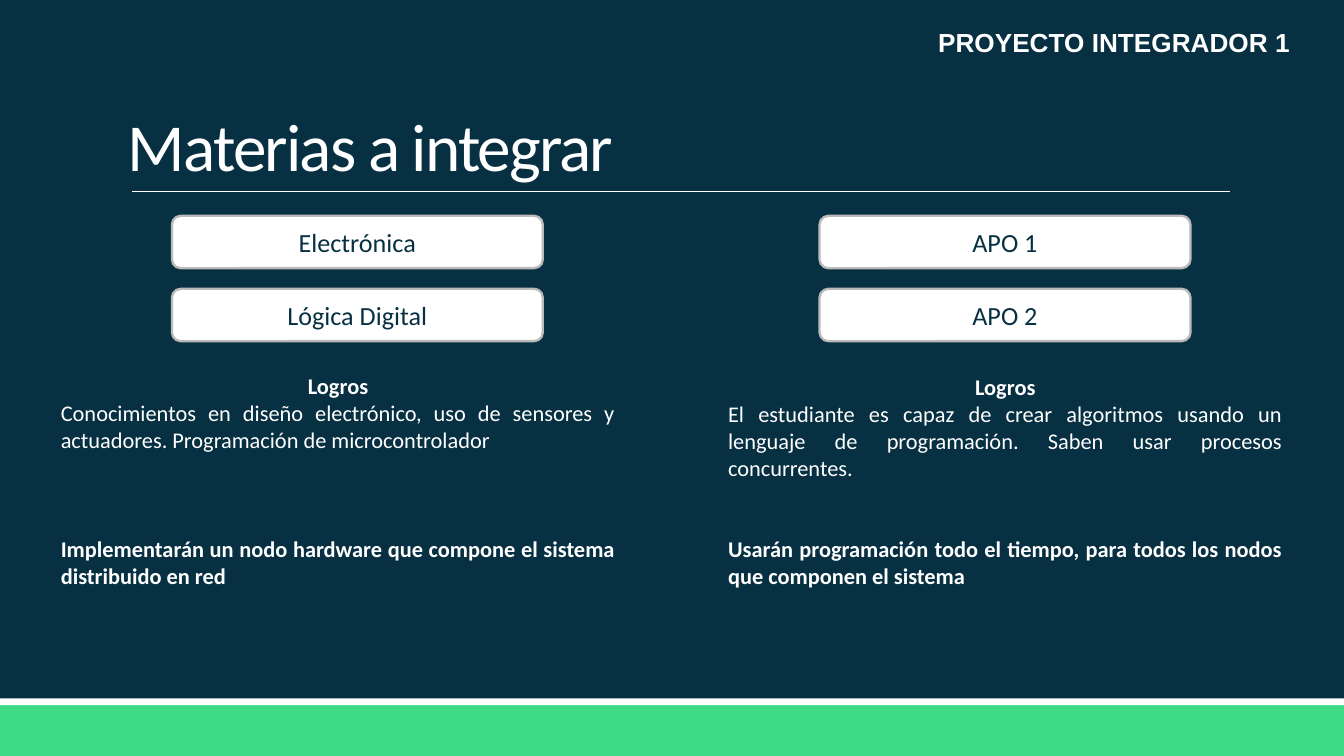
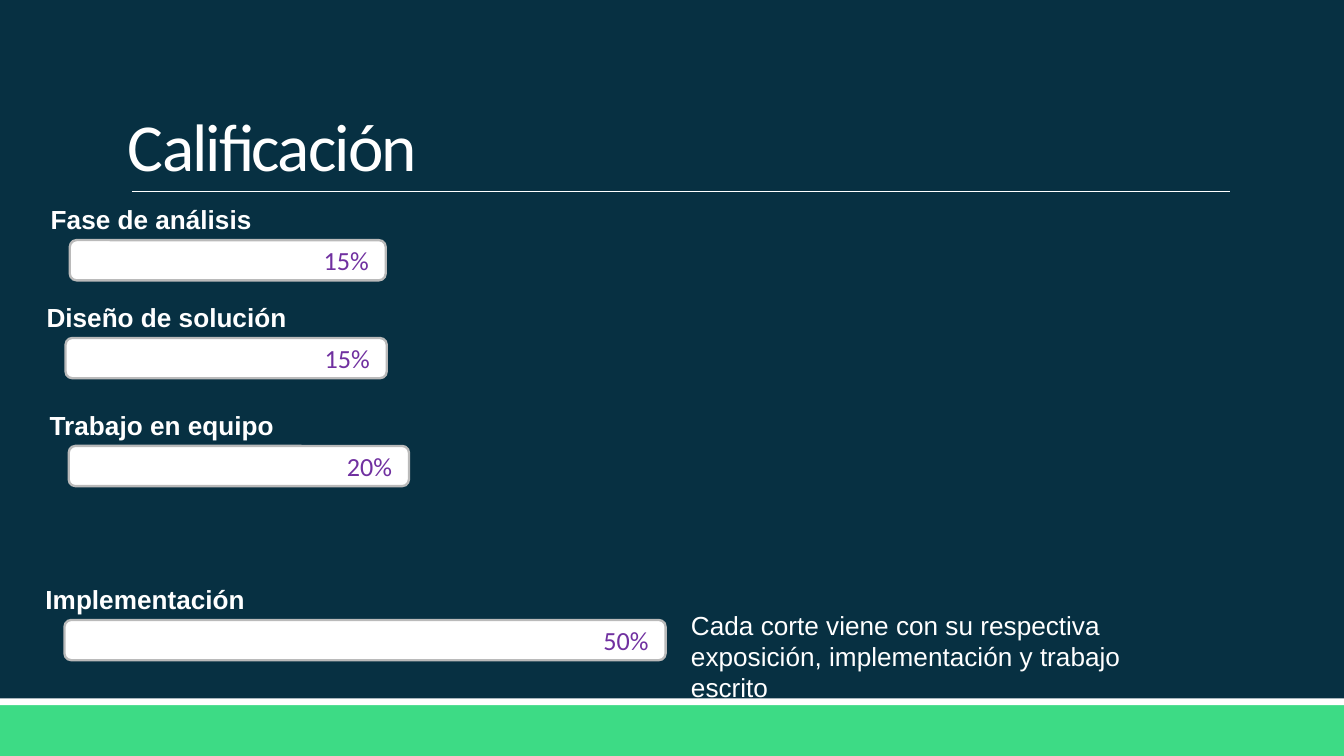
from lxml import etree
from pptx import Presentation
from pptx.dml.color import RGBColor
from pptx.enum.shapes import MSO_CONNECTOR, MSO_SHAPE
from pptx.enum.text import MSO_ANCHOR, PP_ALIGN
from pptx.oxml.ns import qn
from pptx.util import Cm, Pt

NAVY = RGBColor(0x07, 0x30, 0x42)
GREEN = RGBColor(0x3D, 0xDB, 0x85)
WHITE = RGBColor(0xFF, 0xFF, 0xFF)
GREY = RGBColor(0xBA, 0xBA, 0xBA)
PURPLE = RGBColor(0x70, 0x30, 0xA0)

RECTANGLE, ROUNDED = MSO_SHAPE.RECTANGLE, MSO_SHAPE.ROUNDED_RECTANGLE
STRAIGHT = MSO_CONNECTOR.STRAIGHT
LEFT, CENTER, RIGHT = PP_ALIGN.LEFT, PP_ALIGN.CENTER, PP_ALIGN.RIGHT
JUSTIFY = PP_ALIGN.JUSTIFY
TOP, MIDDLE, BOTTOM = MSO_ANCHOR.TOP, MSO_ANCHOR.MIDDLE, MSO_ANCHOR.BOTTOM

PAGE_WIDTH, PAGE_HEIGHT = 25.4, 14.29
INSET = 0.13
BODY_LINE = 14.6  # height in points of one 12 pt line


def write(box, text, size=14, font="Calibri", color=WHITE, bold=False,
          align=LEFT, before=0, line_spacing=None, tracking=None):
    """Fill the first paragraph of the box, or add another after it."""
    frame = box.text_frame
    para = frame.add_paragraph() if frame.text else frame.paragraphs[0]
    para.alignment = align
    if before:
        para.space_before = Pt(before)
    if line_spacing:
        para.line_spacing = line_spacing
    span = para.add_run()
    span.text = text
    span.font.size = Pt(size)
    span.font.name = font
    span.font.bold = bold
    span.font.color.rgb = color
    if tracking:
        span._r.get_or_add_rPr().set("spc", str(round(tracking * 100)))


def set_frame(box, anchor, side=INSET, edge=INSET):
    frame = box.text_frame
    frame.word_wrap = True
    frame.vertical_anchor = anchor
    frame.margin_left = frame.margin_right = Cm(side)
    frame.margin_top = frame.margin_bottom = Cm(edge)


def add_box(page, left, top, width, height, anchor=TOP):
    box = page.shapes.add_textbox(Cm(left), Cm(top), Cm(width), Cm(height))
    set_frame(box, anchor)
    return box


def add_panel(page, kind, left, top, width, height, fill):
    panel = page.shapes.add_shape(kind, Cm(left), Cm(top), Cm(width), Cm(height))
    panel.shadow.inherit = False
    panel.fill.solid()
    panel.fill.fore_color.rgb = fill
    panel.line.fill.background()
    return panel


def add_pill(page, left, top, width, height, text, **style):
    pill = add_panel(page, ROUNDED, left, top, width, height, WHITE)
    pill.adjustments[0] = 0.167
    pill.line.color.rgb = GREY
    pill.line.width = Pt(1.25)
    set_frame(pill, MIDDLE, side=0.28, edge=0)
    write(pill, text, **style)


def add_rule(page, left, right, top):
    rule = page.shapes.add_connector(STRAIGHT, Cm(left), Cm(top), Cm(right), Cm(top))
    rule.line.color.rgb = WHITE
    rule.line.width = Pt(0.5)
    etree.SubElement(rule._element.spPr, qn("a:effectLst"))


def add_page(deck, title):
    """Add a slide with the shared background, bands, title and rule."""
    page = deck.slides.add_slide(deck.slide_layouts[6])
    page.background.fill.solid()
    page.background.fill.fore_color.rgb = NAVY
    add_panel(page, RECTANGLE, 0, 13.33, PAGE_WIDTH, PAGE_HEIGHT - 13.33, GREEN)
    add_panel(page, RECTANGLE, 0, 13.2, PAGE_WIDTH, 0.13, WHITE)
    add_rule(page, 2.49, 23.24, 3.62)
    box = add_box(page, 2.29, 0.61, 20.96, 3.02, anchor=BOTTOM)
    write(box, title, size=36, line_spacing=0.85, tracking=-1)
    return page


def add_subjects(page, left, top, names):
    for row, name in enumerate(names):
        add_pill(page, left, top + row * 1.38, 7.01, 0.99, name,
                 color=NAVY, align=CENTER)


def add_goals(page, left, top, height, learned, task, gap_lines):
    box = add_box(page, left, top, 10.74, height)
    write(box, "Logros", size=12, bold=True, align=CENTER)
    write(box, learned, size=12, align=JUSTIFY)
    write(box, task, size=12, bold=True, align=JUSTIFY,
          before=gap_lines * BODY_LINE)


def add_score(page, left, top, width, label, share):
    """Place a bar with its share at its right end and its label above."""
    add_pill(page, left, top, width, 0.76, share, color=PURPLE, align=RIGHT)
    box = add_box(page, left - 0.49, top - 0.83, 6.17, 0.81)
    write(box, label, font="Arial", bold=True)


def add_subjects_page(deck):
    page = add_page(deck, "Materias a integrar")
    add_subjects(page, 3.25, 4.08, ("Electrónica", "Lógica Digital"))
    add_subjects(page, 15.49, 4.08, ("APO 1", "APO 2"))
    header = add_box(page, 9.27, 0.36, 15.24, 0.81)
    write(header, "PROYECTO INTEGRADOR 1", font="Arial", bold=True, align=RIGHT)
    add_goals(page, 1.02, 6.91, 4.98,
              "Conocimientos en diseño electrónico, uso de sensores y "
              "actuadores. Programación de microcontrolador",
              "Implementarán un nodo hardware que compone el sistema "
              "distribuido en red", gap_lines=3)
    add_goals(page, 13.63, 6.93, 4.39,
              "El estudiante es capaz de crear algoritmos usando un lenguaje "
              "de programación. Saben usar procesos concurrentes.",
              "Usarán programación todo el tiempo, para todos los nodos que "
              "componen el sistema", gap_lines=2)


def add_grading_page(deck):
    page = add_page(deck, "Calificación")
    scores = (
        (1.32, 4.54, 5.97, "Fase de análisis", "15%"),
        (1.24, 6.39, 6.07, "Diseño de solución", "15%"),
        (1.3, 8.43, 6.43, "Trabajo en equipo", "20%"),
        (1.22, 11.72, 11.36, "Implementación", "50%"),
    )
    for score in scores:
        add_score(page, *score)
    note = add_box(page, 12.93, 11.38, 9.96, 1.37)
    write(note, "Cada corte viene con su respectiva exposición, "
                "implementación y trabajo escrito", font="Arial")


def main():
    deck = Presentation()
    deck.slide_width = Cm(PAGE_WIDTH)
    deck.slide_height = Cm(PAGE_HEIGHT)
    add_subjects_page(deck)
    add_grading_page(deck)
    deck.save("out.pptx")


if __name__ == "__main__":
    main()
